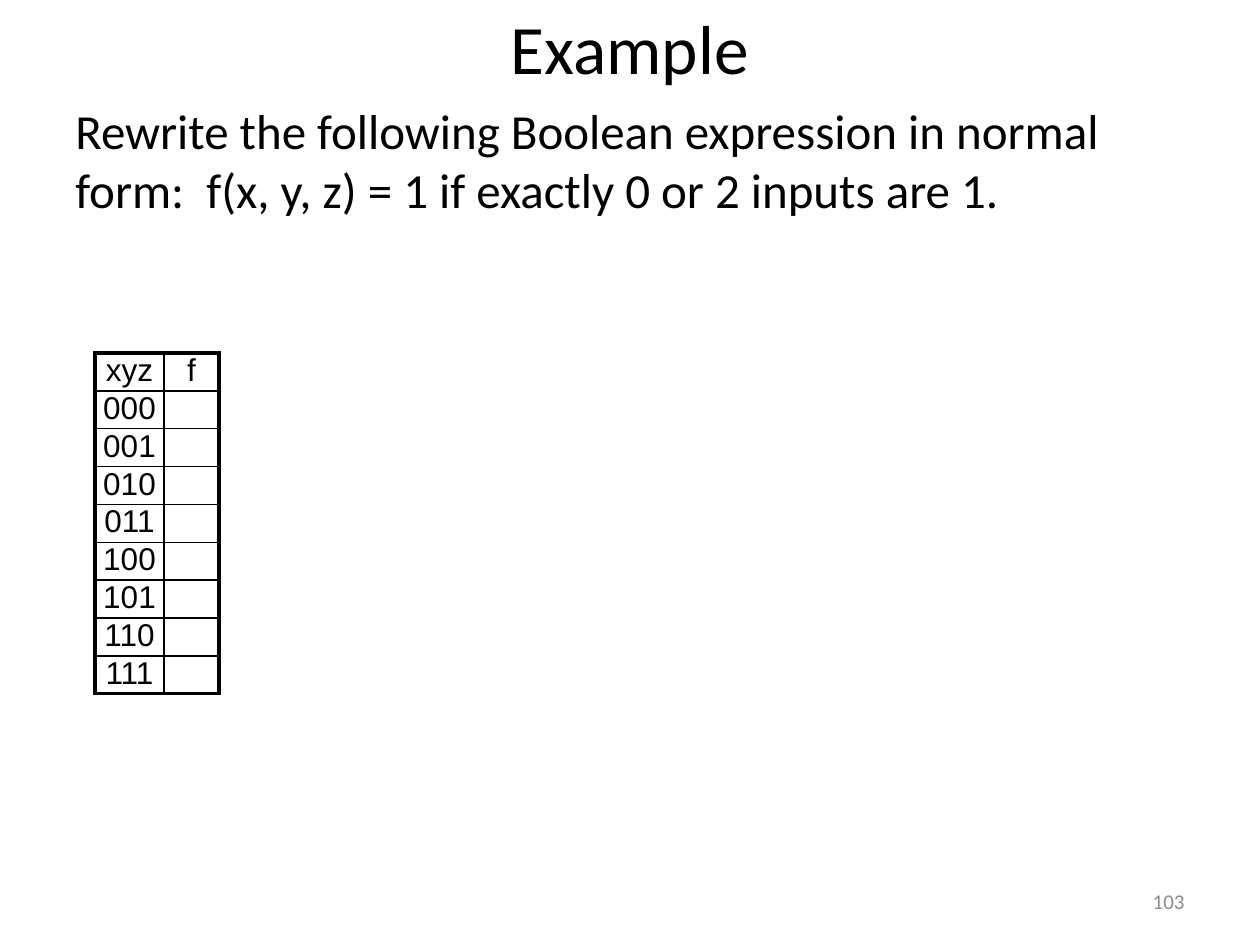
"""Build the Boolean normal form example slide with its truth table."""
import itertools

import lxml.etree
import pptx
import pptx.dml.color
import pptx.enum.text
import pptx.oxml.ns
import pptx.util

COLORS = {"text": "000000", "number": "8C8C8C", "paper": "FFFFFF"}
ALIGN = pptx.enum.text.PP_ALIGN
ANCHOR = pptx.enum.text.MSO_ANCHOR
MARGINS = ("margin_left", "margin_top", "margin_right", "margin_bottom")


class SlideBuilder:
    PX_PER_INCH = 126
    THIN, THICK = 1, 2.25

    def __init__(self, presentation):
        self.presentation = presentation
        presentation.slide_width, presentation.slide_height = self.emu(1260, 945)
        self.slide = presentation.slides.add_slide(presentation.slide_layouts[6])
        background = self.slide.background.fill
        background.solid()
        background.fore_color.rgb = self.color("paper")

    def emu(self, *lengths):
        return [pptx.util.Emu(round(length * 914400 / self.PX_PER_INCH)) for length in lengths]

    def color(self, name):
        return pptx.dml.color.RGBColor.from_string(COLORS[name])

    def apply(self, target, values):
        for name, value in values.items():
            setattr(target, name, value)

    def add_run(self, paragraph, text, size, font="Calibri", color="text", align=ALIGN.LEFT):
        paragraph.alignment = align
        run = paragraph.add_run()
        run.text = text
        self.apply(run.font, {"size": pptx.util.Pt(size), "name": font})
        run.font.color.rgb = self.color(color)

    def text(self, box, text, size, anchor=ANCHOR.MIDDLE, **style):
        frame = self.slide.shapes.add_textbox(*self.emu(*box)).text_frame
        self.apply(frame, {"word_wrap": True, "vertical_anchor": anchor})
        self.add_run(frame.paragraphs[0], text, size, **style)

    def borders(self, cell, widths):
        properties = cell._tc.get_or_add_tcPr()
        for position, (side, width) in enumerate(widths.items()):
            line = lxml.etree.Element(pptx.oxml.ns.qn(f"a:ln{side}"), w=str(pptx.util.Pt(width)))
            fill = lxml.etree.SubElement(line, pptx.oxml.ns.qn("a:solidFill"))
            lxml.etree.SubElement(fill, pptx.oxml.ns.qn("a:srgbClr"), val=COLORS["text"])
            properties.insert(position, line)

    def table(self, box, rows, widths, size, font):
        last_row, last_column = len(rows) - 1, len(widths) - 1
        table = self.slide.shapes.add_table(len(rows), len(widths), *self.emu(*box)).table
        self.apply(table, {"first_row": False, "horz_banding": False})
        for column, width in zip(table.columns, self.emu(*widths)):
            column.width = width
        for i, j in itertools.product(range(len(rows)), range(len(widths))):
            cell = table.cell(i, j)
            self.apply(cell, dict.fromkeys(MARGINS, 0))
            cell.fill.background()
            paragraph = cell.text_frame.paragraphs[0]
            if rows[i][j]:
                self.add_run(paragraph, rows[i][j], size, font, align=ALIGN.CENTER)
            else:
                end = lxml.etree.SubElement(
                    paragraph._p, pptx.oxml.ns.qn("a:endParaRPr"), sz=str(size * 100))
                lxml.etree.SubElement(end, pptx.oxml.ns.qn("a:latin"), typeface=font)
            outer = {"L": j == 0, "R": j == last_column, "T": i == 0, "B": i == last_row}
            self.borders(cell, {side: self.THICK if edge else self.THIN
                                for side, edge in outer.items()})


def main():
    presentation = pptx.Presentation()
    builder = SlideBuilder(presentation)
    builder.text((63, 0, 1134, 94), "Example", 39.6, align=ALIGN.CENTER)
    builder.text(
        (63, 94, 1134, 750),
        "Rewrite the following Boolean expression in normal form:  "
        "f(x, y, z) = 1 if exactly 0 or 2 inputs are 1.",
        28, anchor=ANCHOR.TOP)
    builder.text((903, 876, 294, 50), "103", 12, color="number", align=ALIGN.RIGHT)
    inputs = ["".join(bits) for bits in itertools.product("01", repeat=3)]
    truth_table = [("xyz", "f")] + [(bits, "") for bits in inputs]
    builder.table((95, 353, 124, 340), truth_table, (69, 55), 18, "Arial")
    presentation.save("out.pptx")


if __name__ == "__main__":
    main()
